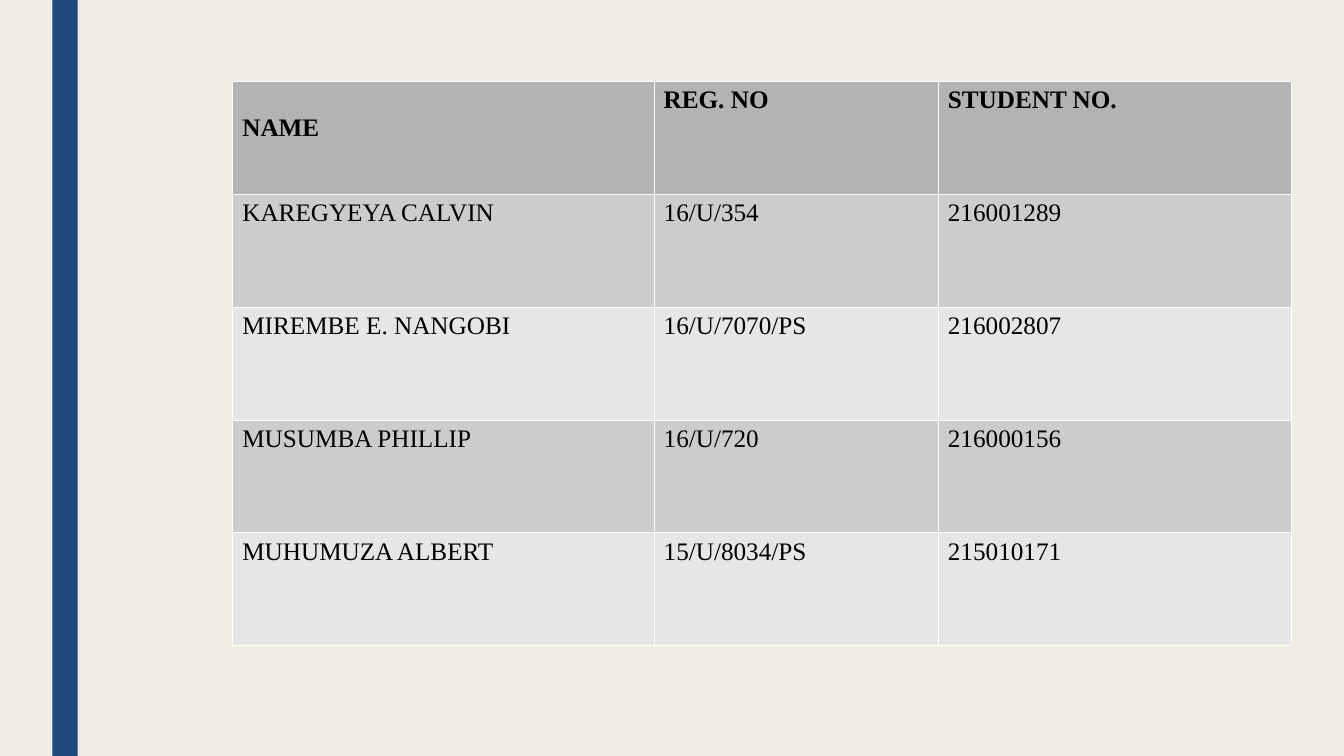
import pptx
import pptx.dml.color
import pptx.enum.shapes
import pptx.oxml
import pptx.oxml.ns
import pptx.util

Pt = pptx.util.Pt
RGBColor = pptx.dml.color.RGBColor

CREAM = RGBColor(0xEF, 0xED, 0xE3)
NAVY = RGBColor(0x1F, 0x49, 0x7D)
BLACK = RGBColor(0x00, 0x00, 0x00)
WHITE = RGBColor(0xFF, 0xFF, 0xFF)
HEADER_GREY = RGBColor(0xB3, 0xB3, 0xB3)
BAND_GREYS = [RGBColor(0xCC, 0xCC, 0xCC), RGBColor(0xE6, 0xE6, 0xE6)]

STUDENTS = [
    ("NAME", "REG. NO", "STUDENT NO."),
    ("KAREGYEYA CALVIN", "16/U/354", "216001289"),
    ("MIREMBE E. NANGOBI", "16/U/7070/PS", "216002807"),
    ("MUSUMBA PHILLIP", "16/U/720", "216000156"),
    ("MUHUMUZA ALBERT", "15/U/8034/PS", "215010171"),
]
COLUMN_WIDTHS = [300.96, 203.04, 252]
ROW_HEIGHT = 80.64
BORDER_WIDTH = 0.06


def fill_cell(cell, text, fill, bold=False, top=3.6):
    cell.margin_left = cell.margin_right = Pt(7.2)
    cell.margin_top, cell.margin_bottom = Pt(top), Pt(3.6)
    properties = cell._tc.get_or_add_tcPr()
    for side in ("lnL", "lnR", "lnT", "lnB"):
        properties.append(pptx.oxml.parse_xml(
            f'<a:{side} {pptx.oxml.ns.nsdecls("a")} w="{Pt(BORDER_WIDTH)}">'
            f'<a:solidFill><a:srgbClr val="{WHITE}"/></a:solidFill></a:{side}>'))
    cell.fill.solid()
    cell.fill.fore_color.rgb = fill
    span = cell.text_frame.paragraphs[0].add_run()
    span.text = text
    span.font.name = "Times New Roman"
    span.font.size = Pt(18)
    span.font.bold = bold
    span.font.color.rgb = BLACK


# Page and background
deck = pptx.Presentation()
deck.slide_width, deck.slide_height = Pt(960), Pt(540)
page = deck.slides.add_slide(deck.slide_layouts[6])
page.background.fill.solid()
page.background.fill.fore_color.rgb = CREAM

# Vertical side bar
side_bar = page.shapes.add_shape(
    pptx.enum.shapes.MSO_SHAPE.RECTANGLE, Pt(37.44), Pt(0), Pt(18), Pt(540))
side_bar.shadow.inherit = False
side_bar.fill.solid()
side_bar.fill.fore_color.rgb = NAVY
side_bar.line.fill.background()

# Student table
table = page.shapes.add_table(
    len(STUDENTS), len(COLUMN_WIDTHS), Pt(165.9), Pt(57.9),
    Pt(sum(COLUMN_WIDTHS)), Pt(ROW_HEIGHT * len(STUDENTS))).table
table.first_row = table.horz_banding = False
for column, width in zip(table.columns, COLUMN_WIDTHS):
    column.width = Pt(width)
for row_index, student in enumerate(STUDENTS):
    table.rows[row_index].height = Pt(ROW_HEIGHT)
    is_header = row_index == 0
    fill = HEADER_GREY if is_header else BAND_GREYS[(row_index - 1) % 2]
    for column_index, text in enumerate(student):
        # The first heading sits one line lower than the others
        top = 23.6 if is_header and column_index == 0 else 3.6
        fill_cell(table.cell(row_index, column_index), text, fill,
                  bold=is_header, top=top)

deck.save("out.pptx")
